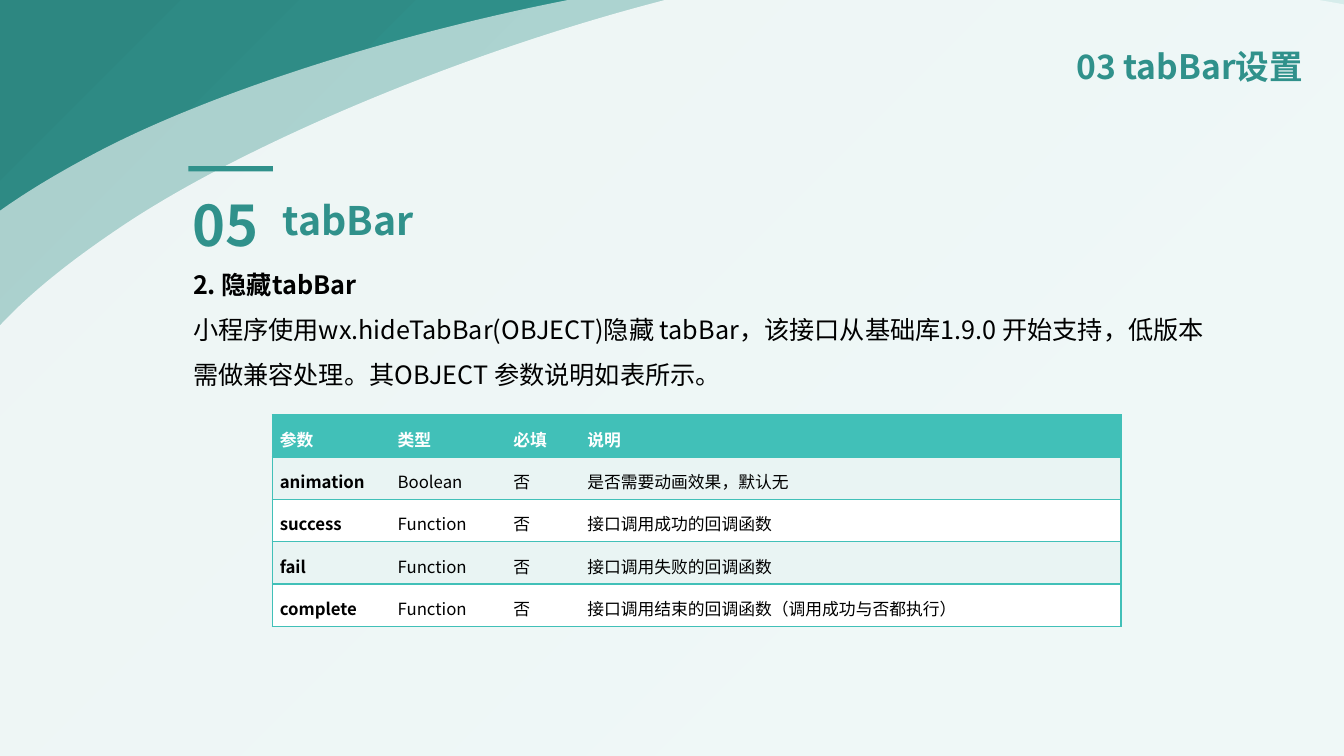
import pptx
import pptx.util
import pptx.dml.color
import pptx.enum.shapes
import pptx.enum.text
import pptx.oxml
import pptx.oxml.ns

Cm = pptx.util.Cm
FONT = "Noto Sans CJK SC"
COLORS = {
    "teal": "30918B",
    "light_teal": "39ACA5",
    "deep_teal": "2D8781",
    "header": "41C0B8",
    "band": "E9F4F3",
    "white": "FFFFFF",
    "black": "000000",
}
GRADIENT = [(0, "light_teal"), (23, "light_teal"), (69, "teal"), (97, "deep_teal")]
WAVE_BOX = (-4.9, -0.86, 51.92, 25.22)
WAVE_START = (-3.43, 9.88)
WAVE_CURVES = [
    ((-2.59, 7.54), (-1.55, 5.94), (2.44, 3.84)),
    ((6.4, 1.75), (14.33, -0.51), (20.65, -0.81)),
    ((27, -1.12), (36.47, -0.03), (40.44, 2.08)),
    ((44.42, 4.17), (48.95, 10.57), (46.18, 13.87)),
    ((43.38, 17.2), (28.78, 23.65), (20.65, 24.31)),
    ((12.52, 24.97), (1.32, 19.94), (-2.64, 17.83)),
    ((-6.63, 15.75), (-4.27, 12.22), WAVE_START),
]
PARAMETERS = [
    ("参数", "类型", "必填", "说明"),
    ("animation", "Boolean", "否", "是否需要动画效果，默认无"),
    ("success", "Function", "否", "接口调用成功的回调函数"),
    ("fail", "Function", "否", "接口调用失败的回调函数"),
    ("complete", "Function", "否", "接口调用结束的回调函数（调用成功与否都执行）"),
]
COLUMN_WIDTHS = [2.97, 2.92, 1.86, 13.64]
TABLE_HEIGHT = 5.33
ROW_HEIGHT = TABLE_HEIGHT / len(PARAMETERS)


def rgb(color):
    return pptx.dml.color.RGBColor.from_string(COLORS[color])


def xml(markup):
    return pptx.oxml.parse_xml(
        markup.replace(" ", f" {pptx.oxml.ns.nsdecls('a')} ", 1))


def paint(shape, color):
    shape.shadow.inherit = False
    shape.line.fill.background()
    shape.fill.solid()
    shape.fill.fore_color.rgb = rgb(color)


def format_paragraph(paragraph, size, color, bold, spacing):
    paragraph.line_spacing = spacing
    paragraph.space_before = pptx.util.Pt(0)
    for run in paragraph.runs:
        run.font.size = pptx.util.Pt(size)
        run.font.bold = bold
        run.font.name = FONT
        run.font.color.rgb = rgb(color)
        run.font._element.get_or_add_latin().addnext(
            xml(f'<a:ea typeface="{FONT}"/>'))


def place(shape, left, top, width, height):
    shape.left, shape.top = Cm(left), Cm(top)
    shape.width, shape.height = Cm(width), Cm(height)


def add_rectangle(slide, left, top, width, height, color):
    rectangle = slide.shapes.add_shape(
        pptx.enum.shapes.MSO_SHAPE.RECTANGLE,
        Cm(left), Cm(top), Cm(width), Cm(height))
    paint(rectangle, color)
    return rectangle


def add_backdrop(slide):
    backdrop = add_rectangle(slide, 0, 0, 33.87, 19.05, "teal")
    backdrop.fill.gradient()
    backdrop.fill.gradient_angle = 135
    stops = backdrop._element.spPr.find(".//" + pptx.oxml.ns.qn("a:gsLst"))
    stops.clear()
    for percent, color in GRADIENT:
        stops.append(xml(f'<a:gs pos="{percent * 1000}">'
                         f'<a:srgbClr val="{COLORS[color]}"/></a:gs>'))


def wave_point(point):
    x, y = (Cm(value - origin) for value, origin in zip(point, WAVE_BOX))
    return f'<a:pt x="{x}" y="{y}"/>'


def wave_path():
    left, top, width, height = WAVE_BOX
    curves = "".join(
        f"<a:cubicBezTo>{''.join(map(wave_point, curve))}</a:cubicBezTo>"
        for curve in WAVE_CURVES)
    return xml(f'<a:path w="{Cm(width)}" h="{Cm(height)}">'
               f"<a:moveTo>{wave_point(WAVE_START)}</a:moveTo>"
               f"{curves}<a:close/></a:path>")


def add_wave(slide, shift_x, shift_y, rotation, opacity):
    outline = slide.shapes.build_freeform(Cm(WAVE_START[0]), Cm(WAVE_START[1]))
    outline.add_line_segments(
        [(Cm(x), Cm(y)) for *handles, (x, y) in WAVE_CURVES], close=True)
    wave = outline.convert_to_shape()
    paint(wave, "white")
    properties = wave._element.spPr
    straight_path = properties.find(".//" + pptx.oxml.ns.qn("a:path"))
    straight_path.getparent().replace(straight_path, wave_path())
    left, top, width, height = WAVE_BOX
    place(wave, left + shift_x, top + shift_y, width, height)
    wave.rotation = rotation
    white = properties.find(".//" + pptx.oxml.ns.qn("a:srgbClr"))
    white.append(xml(f'<a:alpha val="{opacity * 1000}"/>'))


def add_label(slide, left, top, width, height, text, size):
    label = slide.shapes.add_textbox(Cm(left), Cm(top), Cm(width), Cm(height))
    label.text_frame.word_wrap = False
    label.text_frame.text = text
    label.text_frame.auto_size = pptx.enum.text.MSO_AUTO_SIZE.SHAPE_TO_FIT_TEXT
    format_paragraph(label.text_frame.paragraphs[0], size, "teal", True, 1.3)


def fill_title(title):
    place(title, 18.36, 0.73, 14.73, 2.01)
    title.text_frame.text = "03 tabBar设置"
    title.text_frame.auto_size = pptx.enum.text.MSO_AUTO_SIZE.NONE
    title.text_frame.vertical_anchor = pptx.enum.text.MSO_ANCHOR.MIDDLE
    heading = title.text_frame.paragraphs[0]
    heading.alignment = pptx.enum.text.PP_ALIGN.RIGHT
    format_paragraph(heading, 24, "teal", True, 0.9)


def fill_body(body):
    place(body, 4.61, 6.27, 26.01, 4.88)
    body.text_frame.text = (
        "2. 隐藏tabBar\n"
        "小程序使用wx.hideTabBar(OBJECT)隐藏 tabBar，该接口从基础库1.9.0 开始支持，"
        "低版本需做兼容处理。其OBJECT 参数说明如表所示。")
    body.text_frame.auto_size = pptx.enum.text.MSO_AUTO_SIZE.SHAPE_TO_FIT_TEXT
    for index, paragraph in enumerate(body.text_frame.paragraphs):
        properties = paragraph._p.get_or_add_pPr()
        properties.set("marL", "0")
        properties.set("indent", "0")
        properties.append(xml('<a:buNone />'))
        format_paragraph(paragraph, 18, "black", index == 0, 1.5)


def set_borders(cell, sides):
    properties = cell._tc.get_or_add_tcPr()
    for side in "LRTB":
        stroke = "<a:noFill/>"
        if side in sides:
            stroke = (f'<a:solidFill><a:srgbClr val="{COLORS["header"]}"/>'
                      "</a:solidFill>")
        properties.append(xml(f'<a:ln{side} w="12700">{stroke}</a:ln{side}>'))


def add_parameter_table(slide):
    parameters = slide.shapes.add_table(
        len(PARAMETERS), len(COLUMN_WIDTHS), Cm(6.86), Cm(10.45),
        Cm(sum(COLUMN_WIDTHS)), Cm(TABLE_HEIGHT)).table
    for column, width in zip(parameters.columns, COLUMN_WIDTHS):
        column.width = Cm(width)
    last = len(COLUMN_WIDTHS) - 1
    for r, entries in enumerate(PARAMETERS):
        parameters.rows[r].height = Cm(ROW_HEIGHT)
        background = "header" if r == 0 else ("white", "band")[r % 2]
        for c, entry in enumerate(entries):
            cell = parameters.cell(r, c)
            cell.text_frame.text = entry
            cell.margin_left = cell.margin_right = Cm(0.19)
            cell.margin_top = cell.margin_bottom = 0
            set_borders(cell, "TB" + "L" * (c == 0) + "R" * (c == last))
            cell.fill.solid()
            cell.fill.fore_color.rgb = rgb(background)
            format_paragraph(cell.text_frame.paragraphs[0], 12,
                             "black" if r else "white", r == 0 or c == 0, 1.5)


def main():
    presentation = pptx.Presentation()
    presentation.slide_width, presentation.slide_height = Cm(33.87), Cm(19.05)
    slide = presentation.slides.add_slide(presentation.slide_layouts[1])
    title, body = slide.placeholders
    add_backdrop(slide)
    add_wave(slide, 0, 0, 0, 60)
    add_wave(slide, 1.4, -0.13, -5.9, 80)
    for placeholder in (title, body):
        slide.shapes._spTree.append(placeholder._element)
    fill_title(title)
    fill_body(body)
    add_rectangle(slide, 4.75, 4.19, 2.13, 0.13, "teal")
    add_label(slide, 6.88, 4.47, 3.84, 1.65, "tabBar", 28)
    add_label(slide, 4.61, 4.17, 2.26, 2.26, "05", 40)
    add_parameter_table(slide)
    presentation.save("out.pptx")


if __name__ == "__main__":
    main()
